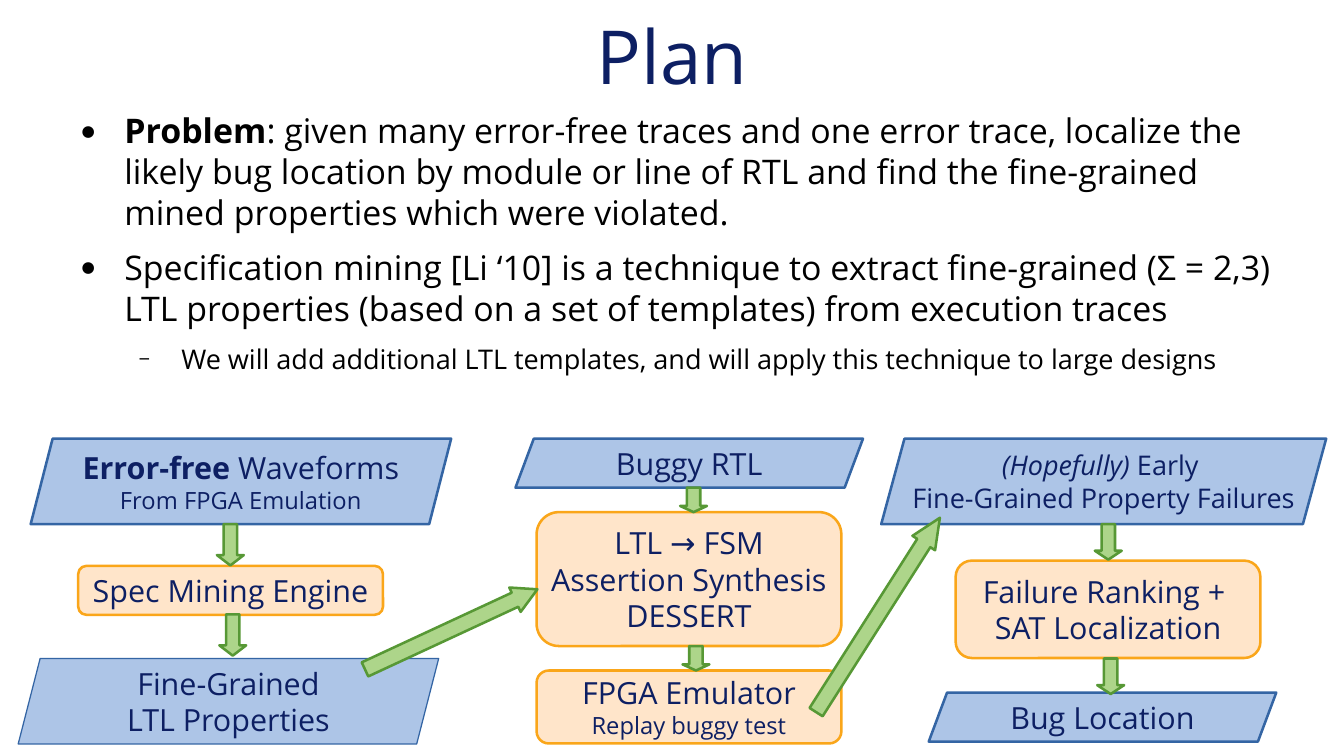
from lxml import etree
from pptx import Presentation
from pptx.dml.color import RGBColor
from pptx.enum.shapes import MSO_SHAPE
from pptx.enum.text import MSO_ANCHOR, PP_ALIGN
from pptx.oxml.ns import qn
from pptx.util import Cm, Pt

CENTER = PP_ALIGN.CENTER
TOP, MIDDLE = MSO_ANCHOR.TOP, MSO_ANCHOR.MIDDLE
PARALLELOGRAM = MSO_SHAPE.PARALLELOGRAM
ROUNDED = MSO_SHAPE.ROUNDED_RECTANGLE
DOWN_ARROW = MSO_SHAPE.DOWN_ARROW

FONT = "Open Sans"
COLORS = {
    "navy": "0D1F63", "black": "000000",
    "data": "ADC5E7", "data_line": "3465A4",
    "step": "FFE5CA", "step_line": "FAA61A",
    "arrow": "ADD58A", "arrow_line": "579835",
}
ARROW_WIDTH = 0.56
BULLETS = [("●", 45000), ("−", 75000)]  # character and size per level

# Body paragraphs: level, runs of (text, format)
BODY = [
    (0, [("Problem", {"bold": True}),
         (": given many error-free traces and one error trace, localize the likely "
          "bug location by module or line of RTL and find the fine-grained mined "
          "properties which were violated.", {})]),
    (0, [("Specification mining [Li ‘10] is a technique to extract fine-grained "
          "(Σ = 2,3) LTL properties (based on a set of templates) from execution "
          "traces", {})]),
    (1, [("We will add additional LTL templates, and will apply this technique to "
          "large designs", {"size": Pt(16)})]),
]

# Data boxes: left, top, width, height, slant, line width, paragraphs of runs
SMALL, MEDIUM = {"size": Pt(14)}, {"size": Pt(16)}
DATA_BOXES = [
    (0.64, 9.14, 8.76, 1.78, 0.257, 1.5,
     [[("Error-free", {"bold": True}), (" Waveforms", {})],
      [("From FPGA Emulation", SMALL)]]),
    (0.38, 13.72, 8.76, 1.78, 0.257, 0,
     [[("Fine-Grained", {})], [("LTL Properties", {})]]),
    (10.74, 9.14, 7.24, 1.02, 0.374, 1.5, [[("Buggy RTL", {})]]),
    (18.36, 9.14, 9.27, 1.78, 0.272, 1.5,
     [[("(Hopefully)", {**MEDIUM, "italic": True}), (" Early ", MEDIUM)],
      [("Fine-Grained Property Failures", MEDIUM)]]),
    (19.35, 14.43, 7.24, 1.02, 0.374, 1.5, [[("Bug Location", {})]]),
]

# Step boxes: left, top, height, paragraphs of runs
STEP_WIDTH = 6.35
STEP_BOXES = [
    (1.63, 11.79, 1.02, [[("Spec Mining Engine", {})]]),
    (11.18, 10.67, 2.79,
     [[("LTL → FSM", {})], [("Assertion Synthesis", {})], [("DESSERT", {})]]),
    (11.18, 13.97, 1.52,
     [[("FPGA Emulator", {})], [("Replay buggy test", SMALL)]]),
    (19.91, 11.68, 2.03,
     [[("Failure Ranking + ", {})], [("SAT Localization", {})]]),
]

# Arrows within a column: left, top, length
COLUMN_ARROWS = [
    (4.52, 10.92, 0.86), (4.57, 12.8, 0.86),
    (14.17, 10.16, 0.51), (14.22, 13.46, 0.51),
    (22.81, 10.92, 0.74), (22.86, 13.72, 0.74),
]
# Arrows between columns: left, top, length, rotation
CROSS_ARROWS = [(9.12, 11.13, 3.96, 245.1), (18.01, 10.41, 4.8, 212.5)]


def rgb(name):
    return RGBColor.from_string(COLORS[name])


def add_runs(paragraph, runs, size, color):
    for text, changes in runs:
        run = paragraph.add_run()
        run.text = text
        run.font.color.rgb = rgb(color)
        for name, value in {"name": FONT, "size": Pt(size), **changes}.items():
            setattr(run.font, name, value)


def format_frame(frame, anchor, wrap, side=0, end=0):
    values = {
        "vertical_anchor": anchor, "word_wrap": wrap,
        "margin_left": Cm(side), "margin_right": Cm(side),
        "margin_top": Cm(end), "margin_bottom": Cm(end),
    }
    for name, value in values.items():
        setattr(frame, name, value)


def next_paragraph(frame, index):
    return frame.add_paragraph() if index else frame.paragraphs[0]


def set_title(slide, text):
    title = slide.shapes.title
    place = {"left": 1.4, "top": -0.18, "width": 25.2, "height": 2.64}
    for name, value in place.items():
        setattr(title, name, Cm(value))
    format_frame(title.text_frame, MIDDLE, True)
    paragraph = title.text_frame.paragraphs[0]
    paragraph.alignment = CENTER
    add_runs(paragraph, [(text, {})], 44, "navy")


def add_bullet(paragraph, level):
    character, size = BULLETS[level]
    properties = paragraph._p.get_or_add_pPr()
    properties.set("marL", str(Cm(1.19 * (level + 1))))
    properties.set("indent", str(Cm(-0.89)))
    color = etree.SubElement(properties, qn("a:buClr"))
    etree.SubElement(color, qn("a:srgbClr"), val=COLORS["black"])
    etree.SubElement(properties, qn("a:buSzPct"), val=str(size))
    etree.SubElement(properties, qn("a:buFont"), typeface=FONT)
    etree.SubElement(properties, qn("a:buChar"), char=character)


def add_body(slide, paragraphs):
    box = slide.shapes.add_textbox(Cm(1.4), Cm(2.29), Cm(25.2), Cm(9.14))
    format_frame(box.text_frame, TOP, True)
    for index, (level, runs) in enumerate(paragraphs):
        paragraph = next_paragraph(box.text_frame, index)
        paragraph.level = level
        paragraph.space_before = Pt(8.7)
        add_bullet(paragraph, level)
        add_runs(paragraph, runs, 20, "black")


def add_figure(slide, kind, place, style, line_width=1.5):
    shape = slide.shapes.add_shape(kind, *[Cm(value) for value in place])
    shape.shadow.inherit = False
    shape.fill.solid()
    shape.fill.fore_color.rgb = rgb(style)
    shape.line.color.rgb = rgb(style + "_line")
    shape.line.width = Pt(line_width)
    return shape


def add_label(shape, paragraphs):
    format_frame(shape.text_frame, MIDDLE, False, 0.28, 0.15)
    for index, runs in enumerate(paragraphs):
        paragraph = next_paragraph(shape.text_frame, index)
        paragraph.alignment = CENTER
        add_runs(paragraph, runs, 18, "navy")


def add_data_box(slide, left, top, width, height, slant, line_width, paragraphs):
    place = (left, top, width, height)
    box = add_figure(slide, PARALLELOGRAM, place, "data", line_width)
    box.adjustments[0] = slant
    add_label(box, paragraphs)


def add_step_box(slide, left, top, height, paragraphs):
    box = add_figure(slide, ROUNDED, (left, top, STEP_WIDTH, height), "step")
    add_label(box, paragraphs)


def add_arrow(slide, left, top, length, rotation=0, shaft=0.5, head_share=0.25):
    place = (left, top, ARROW_WIDTH, length)
    arrow = add_figure(slide, DOWN_ARROW, place, "arrow")
    arrow.rotation = rotation
    arrow.adjustments[0] = shaft
    arrow.adjustments[1] = head_share * length / min(ARROW_WIDTH, length)


def main():
    presentation = Presentation()
    presentation.slide_width = Cm(28)
    presentation.slide_height = Cm(15.75)
    slide = presentation.slides.add_slide(presentation.slide_layouts[5])

    # Heading and text
    set_title(slide, "Plan")
    add_body(slide, BODY)

    # Flow chart
    for box in DATA_BOXES:
        add_data_box(slide, *box)
    for box in STEP_BOXES:
        add_step_box(slide, *box)
    for arrow in COLUMN_ARROWS:
        add_arrow(slide, *arrow)
    for arrow in CROSS_ARROWS:
        add_arrow(slide, *arrow, shaft=0.577, head_share=0.13)

    presentation.save("out.pptx")


main()
